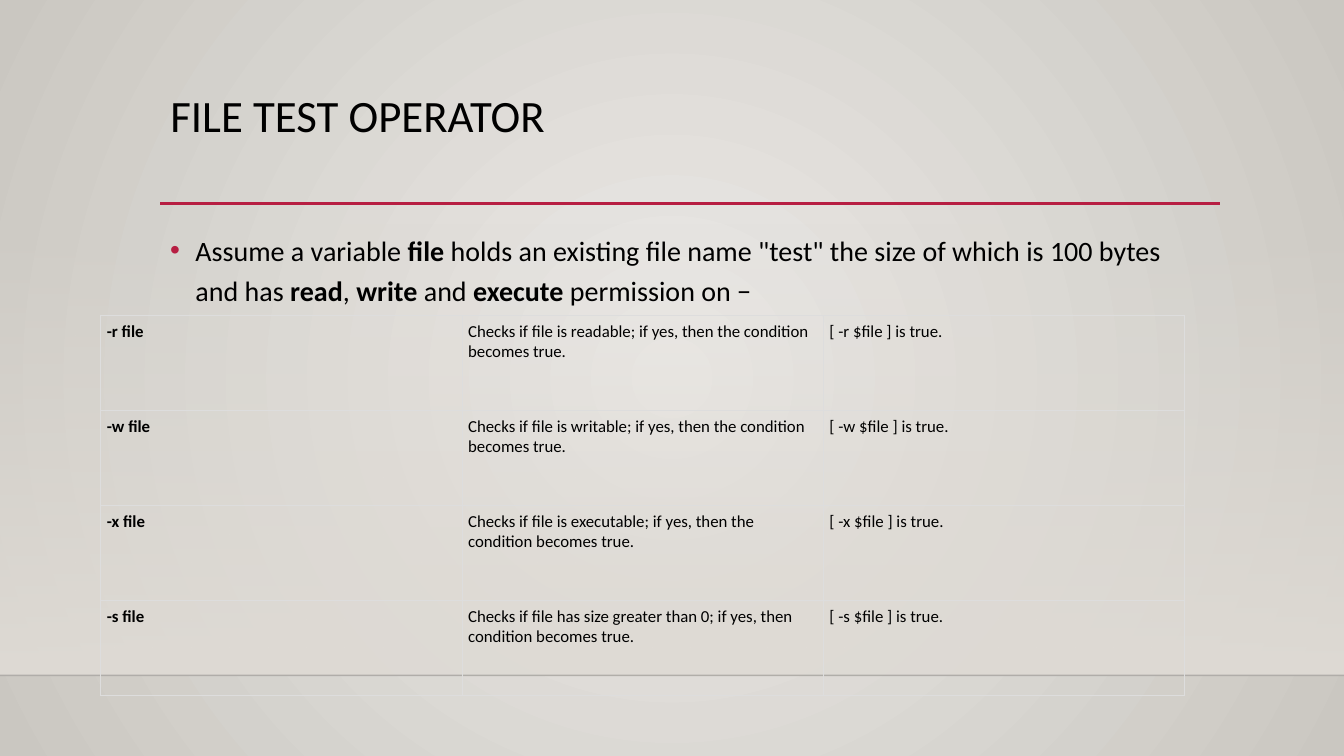
from lxml import etree
from pptx import Presentation
from pptx.dml.color import RGBColor
from pptx.enum.shapes import MSO_CONNECTOR, MSO_SHAPE
from pptx.enum.text import MSO_ANCHOR, PP_ALIGN
from pptx.oxml.ns import qn
from pptx.util import Inches, Pt

RECT = MSO_SHAPE.RECTANGLE
STRAIGHT = MSO_CONNECTOR.STRAIGHT
TOP = MSO_ANCHOR.TOP
LEFT = PP_ALIGN.LEFT
FONT = "Calibri"
COLORS = {
    "text": "000000",
    "accent": "B71E42",
    "back_center": "ECEAE7",
    "back_edge": "CAC7C1",
    "wall": "DFDBD5",
    "floor_line": "000001",
    "border": "DDDDDD",
}
INTRO = [
    ("Assume a variable ", False),
    ("file", True),
    (' holds an existing file name "test" the size of which is 100 bytes and has ', False),
    ("read", True),
    (", ", False),
    ("write", True),
    (" and ", False),
    ("execute", True),
    (" permission on −", False),
]
OPERATORS = [
    ("-r", "Checks if file is readable; if yes, then the condition becomes true."),
    ("-w", "Checks if file is writable; if yes, then the condition becomes true."),
    ("-x", "Checks if file is executable; if yes, then the condition becomes true."),
    ("-s", "Checks if file has size greater than 0; if yes, then condition becomes true."),
]


def rgb(name):
    return RGBColor.from_string(COLORS[name])


def add_xml(parent, tag, **attrs):
    return etree.SubElement(parent, qn(tag), attrs)


def set_alpha(element, percent):
    add_xml(element, "a:alpha", val=str(percent * 1000))


def set_gradient(fill, start, end):
    fill.gradient()
    for stop, name in zip(fill.gradient_stops, (start, end)):
        stop.color.rgb = rgb(name)


def add_run(p, text, size, bold=False):
    r = p.add_run()
    r.text = text
    r.font.name = FONT
    r.font.size = Pt(size)
    r.font.bold = bold
    r.font.color.rgb = rgb("text")


def set_background(s):
    set_gradient(s.background.fill, "back_center", "back_edge")
    grad = next(s.element.iter(qn("a:gradFill")))
    grad.remove(grad.find(qn("a:lin")))
    circle = add_xml(grad, "a:path", path="circle")
    add_xml(circle, "a:fillToRect", l="50000", t="50000", r="50000", b="50000")


def add_wall(s):
    sp = s.shapes.add_shape(RECT, 0, Inches(2.21), Inches(13.33), Inches(4.49))
    sp.shadow.inherit = False
    sp.line.fill.background()
    set_gradient(sp.fill, "wall", "wall")
    sp.fill.gradient_angle = 270
    set_alpha(next(sp.element.iter(qn("a:srgbClr"))), 0)


def add_rule(s, x1, x2, y, color, width, alpha=100):
    line = s.shapes.add_connector(STRAIGHT, Inches(x1), Inches(y), Inches(x2), Inches(y))
    line.line.color.rgb = rgb(color)
    line.line.width = Pt(width)
    if alpha < 100:
        set_alpha(next(line.element.iter(qn("a:srgbClr"))), alpha)
    add_xml(line.element.spPr, "a:effectLst")


def set_title(s, text):
    sp = s.shapes.title
    sp.left, sp.top = Inches(1.59), Inches(0.88)
    sp.width, sp.height = Inches(10.5), Inches(1.15)
    tf = sp.text_frame
    tf.word_wrap = True
    tf.vertical_anchor = TOP
    p = tf.paragraphs[0]
    p.alignment = LEFT
    p.line_spacing = 0.9
    add_run(p, text, 32)


def add_bullet_text(s, runs):
    sp = s.shapes.add_textbox(Inches(1.59), Inches(2.2), Inches(10.5), Inches(3.77))
    tf = sp.text_frame
    tf.word_wrap = True
    p = tf.paragraphs[0]
    p.line_spacing = 1.2
    pPr = p._p.get_or_add_pPr()
    pPr.set("marL", str(Inches(0.25)))
    pPr.set("indent", str(-Inches(0.25)))
    color = add_xml(pPr, "a:buClr")
    add_xml(color, "a:srgbClr", val=COLORS["accent"])
    add_xml(pPr, "a:buFont", typeface="Arial")
    add_xml(pPr, "a:buChar", char="•")
    for text, bold in runs:
        add_run(p, text, 20, bold)


def set_borders(cell):
    tcPr = cell._tc.get_or_add_tcPr()
    for i, side in enumerate(("a:lnL", "a:lnR", "a:lnT", "a:lnB")):
        ln = etree.Element(qn(side), w=str(Pt(0.75)))
        fill = add_xml(ln, "a:solidFill")
        add_xml(fill, "a:srgbClr", val=COLORS["border"])
        tcPr.insert(i, ln)


def fill_cell(cell, text, bold):
    cell.margin_left = cell.margin_right = Inches(0.06)
    cell.margin_top = cell.margin_bottom = Inches(0.06)
    cell.vertical_anchor = TOP
    cell.fill.background()
    set_borders(cell)
    add_run(cell.text_frame.paragraphs[0], text, 12, bold)


def add_operator_table(s, operators):
    frame = s.shapes.add_table(
        len(operators), 3, Inches(1), Inches(3.13), Inches(10.75), Inches(3.77)
    )
    table = frame.table
    table.first_row = False
    table.horz_banding = False
    for i, (flag, meaning) in enumerate(operators):
        texts = (f"{flag} file", meaning, f"[ {flag} $file ] is true.")
        for j, text in enumerate(texts):
            fill_cell(table.cell(i, j), text, j == 0)


def main():
    prs = Presentation()
    prs.slide_width = Inches(13.33)
    prs.slide_height = Inches(7.5)
    s = prs.slides.add_slide(prs.slide_layouts[5])
    set_background(s)
    add_wall(s)
    add_rule(s, 0, 13.33, 6.7, "floor_line", 1, 20)
    add_rule(s, 1.59, 12.1, 2.02, "accent", 2.5)
    set_title(s, "FILE TEST OPERATOR")
    add_bullet_text(s, INTRO)
    add_operator_table(s, OPERATORS)
    prs.save("out.pptx")


if __name__ == "__main__":
    main()
